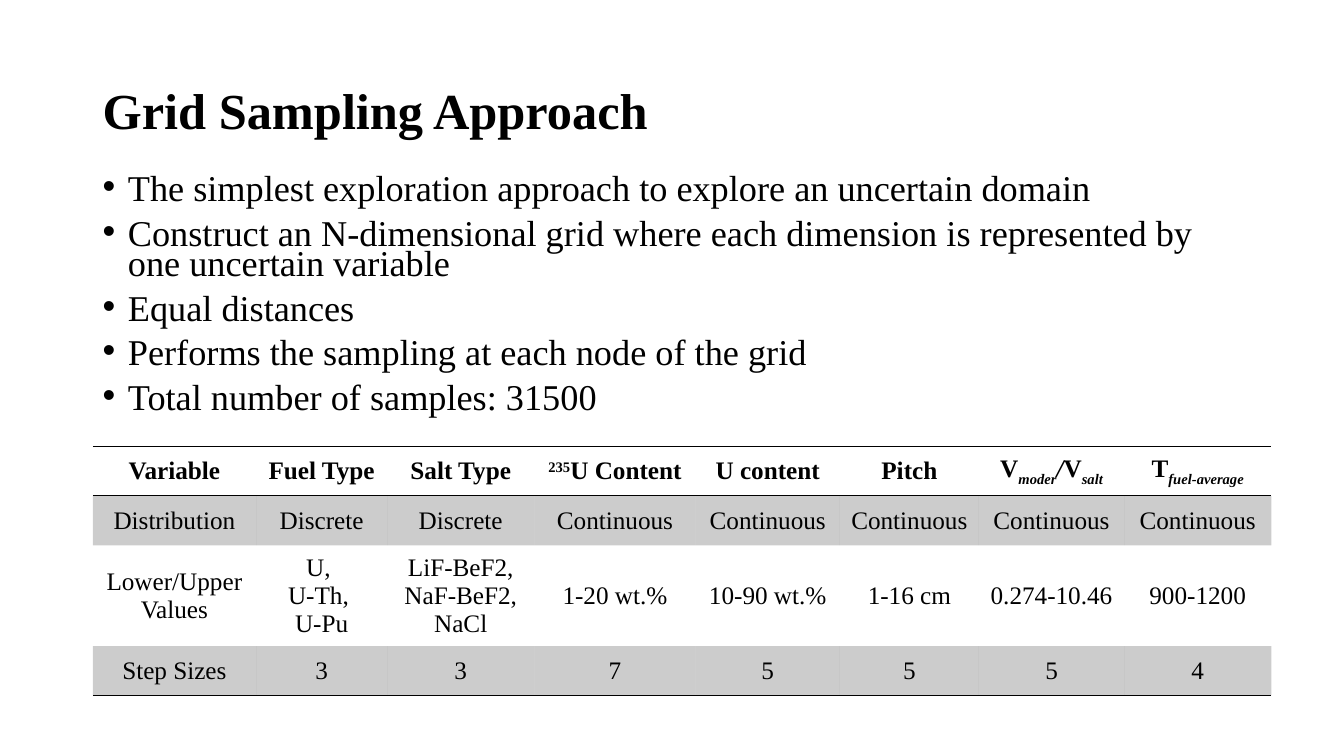
from dataclasses import dataclass

from lxml.etree import SubElement
from pptx import Presentation
from pptx.dml.color import RGBColor
from pptx.enum.text import MSO_ANCHOR as Anchor, PP_ALIGN as Align
from pptx.oxml import parse_xml
from pptx.oxml.ns import nsdecls, qn
from pptx.util import Inches, Pt

BLACK = "000000"
NO_GRID_STYLE = "{2D5ABB26-0587-4C30-8999-92F81FD0307C}"
TITLE_FONT = {"name": "Times New Roman", "size": Pt(36), "bold": True}
BODY_FONT = {"name": "Times New Roman", "size": Pt(25.9), "bold": False}
HEADER_FONT = {"name": "Times New Roman", "size": Pt(18), "bold": True}
CELL_FONT = HEADER_FONT | {"bold": False}


@dataclass(frozen=True)
class Piece:
    """A stretch of text; baseline is the raise in percent."""
    text: str
    italic: bool = False
    baseline: int = 0


@dataclass(frozen=True)
class Variable:
    """One table column: its heading and the cells below it."""
    width: float
    heading: tuple[Piece, ...]
    distribution: str
    values: str
    steps: str


def sub(text: str) -> Piece:
    return Piece(text, True, -25)


BULLETS = [
    "The simplest exploration approach to explore an uncertain domain",
    "Construct an N-dimensional grid where each dimension is represented by one uncertain variable",
    "Equal distances",
    "Performs the sampling at each node of the grid",
    "Total number of samples: 31500",
]
VARIABLES = [
    Variable(1.62, (Piece("Variable"),), "Distribution", "Lower/Upper\nValues", "Step Sizes"),
    Variable(1.3, (Piece("Fuel Type"),), "Discrete", "U, \nU-Th, \nU-Pu", "3"),
    Variable(1.46, (Piece("Salt Type"),), "Discrete", "LiF-BeF2, NaF-BeF2, NaCl", "3"),
    Variable(1.6, (Piece("235", baseline=30), Piece("U Content")), "Continuous", "1-20 wt.%", "7"),
    Variable(1.43, (Piece("U content"),), "Continuous", "10-90 wt.%", "5"),
    Variable(1.38, (Piece("Pitch"),), "Continuous", "1-16 cm", "5"),
    Variable(1.44, (Piece("V"), sub("moder"), Piece("/", True), Piece("V"), sub("salt")),
             "Continuous", "0.274-10.46", "5"),
    Variable(1.46, (Piece("T"), sub("fuel-average")), "Continuous", "900-1200", "4"),
]
ROW_HEIGHTS = [0.49, 0.49, 0.7, 0.49]
SHADED_ROWS = {1, 3}
RULED_ROWS = {0: ("lnT", "lnB"), 3: ("lnB",)}


def color(hex_code: str) -> RGBColor:
    return RGBColor.from_string(hex_code)


def write(paragraph, pieces: tuple[Piece, ...], font_format: dict) -> None:
    for piece in pieces:
        run = paragraph.add_run()
        run.text = piece.text
        for name, value in (font_format | {"italic": piece.italic}).items():
            setattr(run.font, name, value)
        run.font.color.rgb = color(BLACK)
        if piece.baseline:
            run.font._element.set("baseline", str(piece.baseline * 1000))


def add_frame(slide, left: float, top: float, width: float, height: float, anchor):
    frame = slide.shapes.add_textbox(*map(Inches, (left, top, width, height))).text_frame
    frame.word_wrap = True
    frame.vertical_anchor = anchor
    return frame


def add_title(slide) -> None:
    heading = add_frame(slide, 0.92, 0.4, 11.5, 1.45, Anchor.MIDDLE).paragraphs[0]
    heading.line_spacing = 0.9
    write(heading, (Piece("Grid Sampling Approach"),), TITLE_FONT)


def add_bullets(slide) -> None:
    body = add_frame(slide, 0.92, 1.71, 11.38, 2.72, Anchor.TOP)
    for index, text in enumerate(BULLETS):
        point = body.add_paragraph() if index else body.paragraphs[0]
        point.line_spacing = 0.7
        point.space_before = Pt(10 if index else 0)
        properties = point._p.get_or_add_pPr()
        properties.set("marL", str(Inches(0.25)))
        properties.set("indent", str(Inches(-0.25)))
        SubElement(properties, qn("a:buFont"), typeface="Arial")
        SubElement(properties, qn("a:buChar"), char="•")
        write(point, (Piece(text),), BODY_FONT)


def style_cell(cell, row: int) -> None:
    cell.vertical_anchor = Anchor.MIDDLE
    properties = cell._tc.get_or_add_tcPr()
    if row in SHADED_ROWS:
        cell.fill.solid()
        cell.fill.fore_color.rgb = color(BLACK)
        tint = properties.find(qn("a:solidFill")).find(qn("a:srgbClr"))
        SubElement(tint, qn("a:alpha"), val="20000")
    else:
        cell.fill.background()
    # Border lines come ahead of the fill
    for position, side in enumerate(RULED_ROWS.get(row, ())):
        properties.insert(position, parse_xml(
            f'<a:{side} {nsdecls("a")} w="{Pt(1)}"><a:solidFill>'
            f'<a:srgbClr val="{BLACK}"/></a:solidFill></a:{side}>'))


def add_variable_table(slide) -> None:
    table = slide.shapes.add_table(
        len(ROW_HEIGHTS), len(VARIABLES),
        *map(Inches, (0.92, 4.43, 11.69, sum(ROW_HEIGHTS)))).table
    table.first_row = table.horz_banding = False
    table._tbl.tblPr.find(qn("a:tableStyleId")).text = NO_GRID_STYLE
    for row, height in enumerate(ROW_HEIGHTS):
        table.rows[row].height = Inches(height)
    for column, variable in enumerate(VARIABLES):
        table.columns[column].width = Inches(variable.width)
        texts = (variable.distribution, variable.values, variable.steps)
        rows = [[variable.heading]] + [
            [(Piece(line),) for line in text.split("\n")] for text in texts]
        for row, lines in enumerate(rows):
            cell = table.cell(row, column)
            style_cell(cell, row)
            for index, pieces in enumerate(lines):
                frame = cell.text_frame
                line = frame.add_paragraph() if index else frame.paragraphs[0]
                line.alignment = Align.CENTER
                write(line, pieces, CELL_FONT if row else HEADER_FONT)


def main() -> None:
    deck = Presentation()
    deck.slide_width, deck.slide_height = Inches(13.33), Inches(7.5)
    slide = deck.slides.add_slide(deck.slide_layouts[6])
    add_title(slide)
    add_bullets(slide)
    add_variable_table(slide)
    deck.save("out.pptx")


if __name__ == "__main__":
    main()
